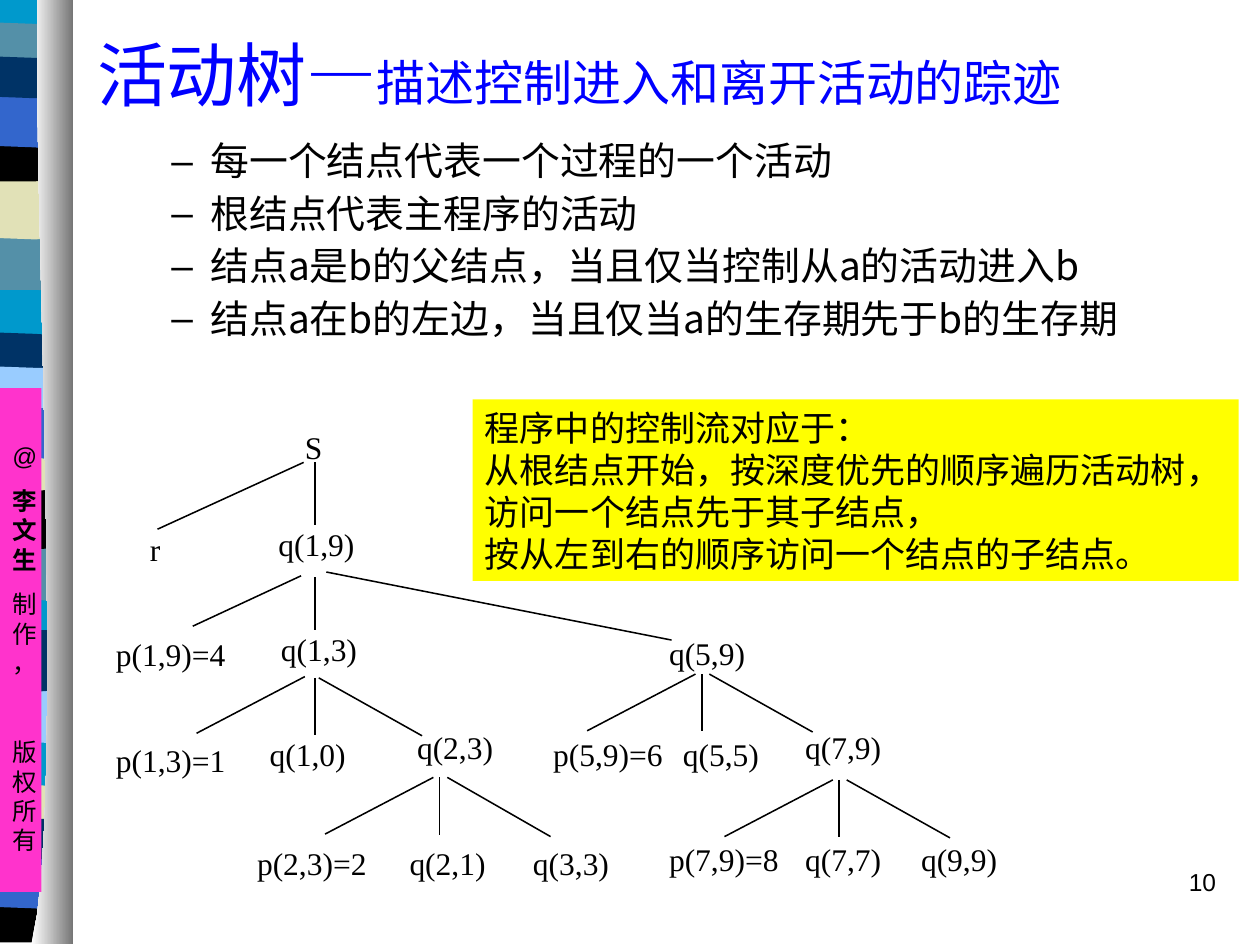
from lxml import etree
from pptx import Presentation
from pptx.dml.color import RGBColor
from pptx.enum import shapes, text
from pptx.oxml import ns
from pptx.util import Inches, Pt

BLACK = RGBColor(0x00, 0x00, 0x00)
WHITE = RGBColor(0xFF, 0xFF, 0xFF)
GREY = RGBColor(0x76, 0x76, 0x76)
BLUE = RGBColor(0x00, 0x00, 0xFF)
YELLOW = RGBColor(0xFF, 0xFF, 0x00)
PINK = RGBColor(0xFF, 0x33, 0xCC)
CYAN = RGBColor(0x00, 0x99, 0xCC)
TEAL = RGBColor(0x54, 0x90, 0xA8)
SAND = RGBColor(0xE1, 0xE1, 0xB7)
ROYAL = RGBColor(0x33, 0x66, 0xCC)
NAVY = RGBColor(0x00, 0x33, 0x66)
SKY = RGBColor(0x99, 0xCC, 0xFF)

SERIF, SANS, CJK = "Times New Roman", "Arial", "Noto Sans CJK SC"

TITLE = [("活动树—", 40), ("描述控制进入和离开活动的踪迹", 28)]
BULLETS = [
    "每一个结点代表一个过程的一个活动",
    "根结点代表主程序的活动",
    "结点a是b的父结点，当且仅当控制从a的活动进入b",
    "结点a在b的左边，当且仅当a的生存期先于b的生存期",
]
CALLOUT = [
    "程序中的控制流对应于：",
    "从根结点开始，按深度优先的顺序遍历活动树，",
    "访问一个结点先于其子结点，",
    "按从左到右的顺序访问一个结点的子结点。",
]
# text, bold, space before in points
CREDIT = [("@", False, 0), ("李文生", True, 8.8), ("制作，", False, 8.8), ("版权所有", False, 34)]
PAGE = "10"

# label, left, top, branch from the parent (x1, y1, x2, y2)
TREE = [
    ("S", 2.42, 3.4, None),
    ("r", 1.19, 4.21, (2.41, 3.67, 1.25, 4.2)),
    ("q(1,9)", 2.21, 4.17, (2.5, 3.67, 2.5, 4.17)),
    ("p(1,9)=4", 0.92, 5.04, (2.39, 4.57, 1.53, 4.97)),
    ("q(1,3)", 2.23, 5, (2.5, 4.58, 2.5, 5)),
    ("q(5,9)", 5.31, 5.03, (2.59, 4.54, 5.33, 5.08)),
    ("p(1,3)=1", 0.92, 5.88, (2.42, 5.37, 1.56, 5.82)),
    ("q(1,0)", 2.14, 5.83, (2.5, 5.38, 2.5, 5.83)),
    ("q(2,3)", 3.31, 5.78, (2.53, 5.38, 3.35, 5.84)),
    ("p(5,9)=6", 4.39, 5.83, (5.52, 5.35, 4.66, 5.8)),
    ("q(5,5)", 5.42, 5.83, (5.57, 5.35, 5.57, 5.8)),
    ("q(7,9)", 6.39, 5.78, (5.63, 5.35, 6.45, 5.81)),
    ("p(2,3)=2", 2.04, 6.7, (3.44, 6.17, 2.58, 6.62)),
    ("q(2,1)", 3.25, 6.7, (3.49, 6.17, 3.49, 6.63)),
    ("q(3,3)", 4.23, 6.7, (3.55, 6.17, 4.37, 6.64)),
    ("p(7,9)=8", 5.31, 6.67, (6.61, 6.19, 5.75, 6.64)),
    ("q(7,7)", 6.39, 6.67, (6.66, 6.19, 6.66, 6.64)),
    ("q(9,9)", 7.31, 6.67, (6.72, 6.19, 7.54, 6.65)),
]
LABEL_WIDTHS = {1: 0.14, 6: 0.61, 8: 0.88}

# Wavy stripes: heights of the upper and lower edge at each of STRIPE_X
STRIPE_X = (0, 0.28, 0.56)
STRIPES = [
    ((1.85, 1.85, 1.85), (2.3, 2.3, 2.32)),
    ((1.41, 1.41, 1.41), (1.89, 1.9, 1.88)),
    ((0.18, 0.19, 0.21), (0.48, 0.48, 0.45)),
    ((1.1, 1.09, 1.08), (1.44, 1.44, 1.4)),
    ((0.74, 0.74, 0.74), (1.16, 1.17, 1.21)),
    ((0.45, 0.46, 0.46), (0.77, 0.78, 0.77)),
]
# Each repeat of the stripes: shift down and colour of every stripe
REPEATS = [
    ([0] * 6, [TEAL, SAND, TEAL, BLACK, ROYAL, NAVY]),
    ([2.46] * 6, [TEAL, BLACK, NAVY, SAND, ROYAL, SKY]),
    ([3.59] * 2 + [6.04] * 4, [SKY, NAVY, SAND, BLACK, ROYAL, NAVY]),
]
ROLL_EDGE = [(0.3, 0), (0.25, 1.25), (0.53, 6.46), (0.25, 7.49)]
ROLL_RIGHT = 0.58


def add_run(p, words, size, font, color=BLACK, bold=False):
    r = p.add_run()
    r.text = words
    r.font.size, r.font.name, r.font.bold = Pt(size), font, bold
    r.font.color.rgb = color
    ea = etree.SubElement(r.font._element, ns.qn("a:ea"))
    ea.set("typeface", CJK)


def set_box(sp, left, top, width, height):
    sp.left, sp.top, sp.width, sp.height = map(Inches, (left, top, width, height))


def paragraphs(tf, count):
    return [tf.paragraphs[0]] + [tf.add_paragraph() for _ in range(count - 1)]


def add_rect(s, box, color):
    sp = s.shapes.add_shape(shapes.MSO_SHAPE.RECTANGLE, *map(Inches, box))
    sp.shadow.inherit = False
    sp.fill.solid()
    sp.fill.fore_color.rgb = color
    sp.line.fill.background()
    return sp


def add_outline(s, points):
    pts = [(Inches(x), Inches(y)) for x, y in points]
    fb = s.shapes.build_freeform(*pts[0])
    fb.add_line_segments(pts[1:], close=True)
    sp = fb.convert_to_shape()
    sp.shadow.inherit = False
    sp.line.fill.background()
    return sp


def bezier(ctrl, steps=16):
    for i in range(steps + 1):
        t = i / steps
        weights = ((1 - t) ** 3, 3 * t * (1 - t) ** 2, 3 * t * t * (1 - t), t ** 3)
        yield tuple(sum(w * c[k] for w, c in zip(weights, ctrl)) for k in (0, 1))


def add_sidebar(s):
    add_rect(s, (0, 0, 0.56, 7.47), CYAN)
    for shifts, colors in REPEATS:
        for (upper, lower), dy, color in zip(STRIPES, shifts, colors):
            edge = list(zip(STRIPE_X, upper)) + list(zip(STRIPE_X, lower))[::-1]
            sp = add_outline(s, [(x, y + dy) for x, y in edge])
            sp.fill.solid()
            sp.fill.fore_color.rgb = color

    roll = add_outline(s, [*bezier(ROLL_EDGE), (ROLL_RIGHT, 7.49), (ROLL_RIGHT, 0)])
    roll.fill.gradient()
    roll.fill.gradient_angle = 0
    for stop, color in zip(roll.fill.gradient_stops, (WHITE, GREY)):
        stop.color.rgb = color

    tf = add_rect(s, (0, 3.08, 0.33, 4), PINK).text_frame
    tf.word_wrap = True
    tf.vertical_anchor = text.MSO_ANCHOR.TOP
    tf.margin_top = Inches(0.42)
    for p, (words, bold, gap) in zip(paragraphs(tf, len(CREDIT)), CREDIT):
        p.alignment = text.PP_ALIGN.CENTER
        p.space_before = Pt(gap)
        add_run(p, words, 14, SANS, bold=bold)


def add_title_and_bullets(s):
    title, body = s.placeholders
    set_box(title, 0.67, 0.08, 9.12, 1)
    set_box(body, 0.67, 1.08, 9.12, 2.08)
    for sp in (title, body):
        sp.text_frame.auto_size = text.MSO_AUTO_SIZE.NONE
    title.text_frame.vertical_anchor = text.MSO_ANCHOR.MIDDLE
    p = title.text_frame.paragraphs[0]
    p.alignment = text.PP_ALIGN.LEFT
    for words, size in TITLE:
        add_run(p, words, size, SERIF, BLUE)

    for p, words in zip(paragraphs(body.text_frame, len(BULLETS)), BULLETS):
        p.level, p.line_spacing, p.space_before = 1, 0.9, Pt(6)
        pPr = p._p.get_or_add_pPr()
        pPr.set("marL", str(Inches(0.9)))
        pPr.set("indent", str(Inches(-0.31)))
        etree.SubElement(pPr, ns.qn("a:buChar")).set("char", "–")
        add_run(p, words, 22.2, CJK)


def add_tree(s):
    for label, left, top, branch in TREE:
        if branch:
            line = s.shapes.add_connector(shapes.MSO_CONNECTOR.STRAIGHT, *map(Inches, branch))
            line.line.color.rgb = BLACK
            line.line.width = Pt(0.88)
            etree.SubElement(line._element.spPr, ns.qn("a:effectLst"))
        box = (left, top, LABEL_WIDTHS[len(label)], 0.3)
        tf = s.shapes.add_textbox(*map(Inches, box)).text_frame
        tf.margin_left = tf.margin_right = tf.margin_top = tf.margin_bottom = 0
        tf.word_wrap = False
        add_run(tf.paragraphs[0], label, 18, SERIF)


def add_callout(s):
    tf = add_rect(s, (3.75, 3.17, 6.08, 1.44), YELLOW).text_frame
    tf.word_wrap = True
    tf.vertical_anchor = text.MSO_ANCHOR.MIDDLE
    for p, words in zip(paragraphs(tf, len(CALLOUT)), CALLOUT):
        p.alignment = text.PP_ALIGN.LEFT
        add_run(p, words, 20, SERIF)


def add_page_number(s):
    tf = s.shapes.add_textbox(*map(Inches, (7.67, 6.83, 2.08, 0.5))).text_frame
    tf.word_wrap = True
    p = tf.paragraphs[0]
    p.alignment = text.PP_ALIGN.RIGHT
    p.space_before = Pt(8.8)
    add_run(p, PAGE, 14, SANS)


def main():
    prs = Presentation()
    prs.slide_width, prs.slide_height = Inches(10), Inches(7.5)
    s = prs.slides.add_slide(prs.slide_layouts[1])
    add_sidebar(s)
    add_title_and_bullets(s)
    add_tree(s)
    add_callout(s)
    add_page_number(s)
    prs.save("out.pptx")


if __name__ == "__main__":
    main()
